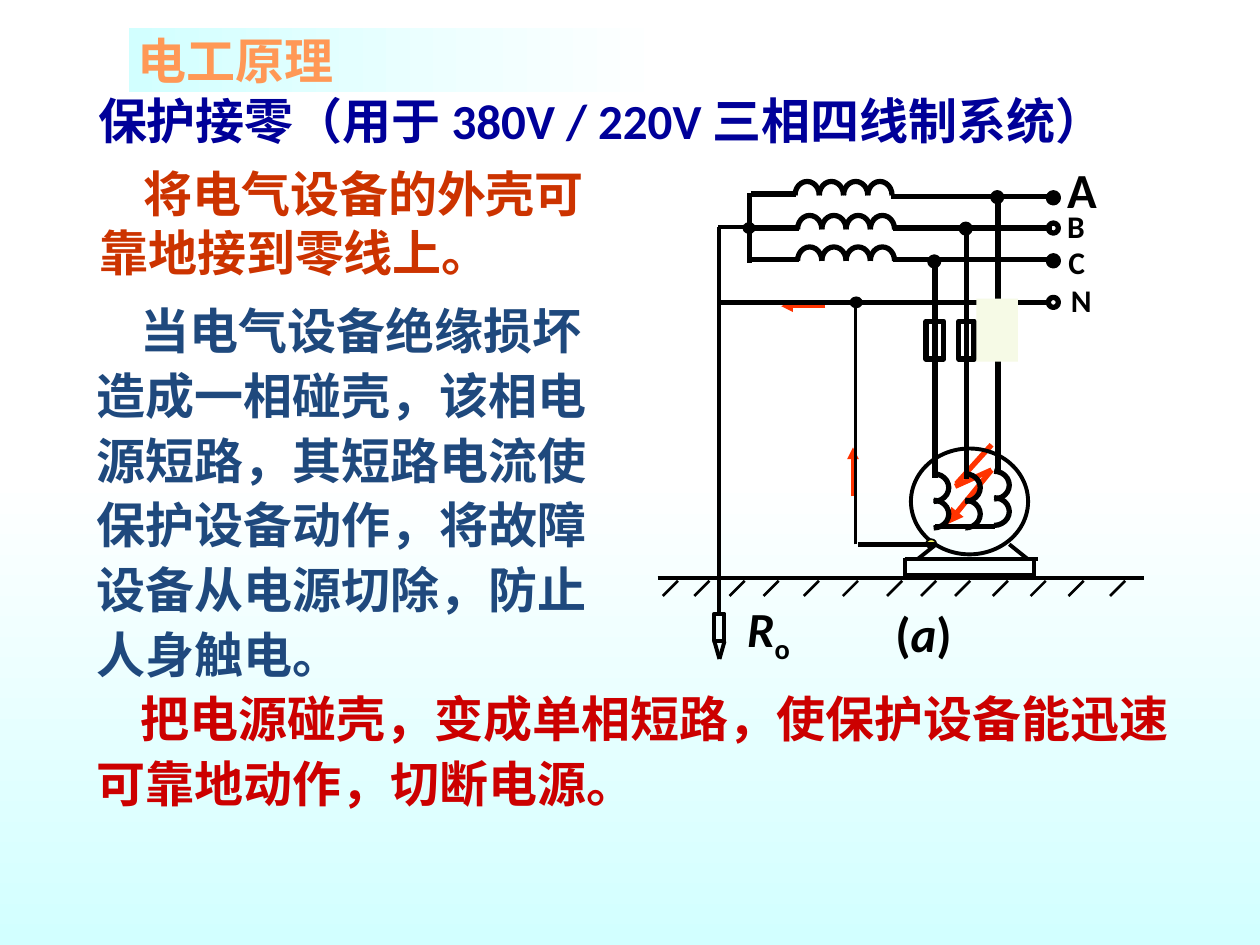
from math import cos, pi, sin
from lxml.etree import SubElement
from pptx import Presentation
from pptx.dml.color import RGBColor
from pptx.enum.shapes import MSO_CONNECTOR, MSO_SHAPE
from pptx.enum.text import MSO_ANCHOR, MSO_AUTO_SIZE, PP_ALIGN
from pptx.oxml.ns import qn
from pptx.util import Pt

PX = 9144
INK = "000000"


def px(*nums):
    """Turn px lengths into EMU."""
    return [round(n * PX) for n in nums]


def tint(color, code):
    """Set a colour format from a hex string."""
    color.rgb = RGBColor.from_string(code)


def blend(root, fill, angle, stops):
    """Give a fill a gradient with the stops listed."""
    fill.gradient()
    fill.gradient_angle = angle
    items = root.find(".//" + qn("a:gsLst"))
    for old in list(items):
        items.remove(old)
    for place, code in stops:
        stop = SubElement(items, qn("a:gs"), pos=str(place * 1000))
        SubElement(stop, qn("a:srgbClr"), val=code)


def style(shape, fill=None, width=0):
    """Set the fill and black outline of a shape."""
    shape.shadow.inherit = False
    if fill:
        shape.fill.solid()
        tint(shape.fill.fore_color, fill)
    else:
        shape.fill.background()
    if width:
        tint(shape.line.color, INK)
        shape.line.width = Pt(width)
    else:
        shape.line.fill.background()


def form(slide, kind, box, fill=None, width=0):
    """Add a preset shape."""
    shape = slide.shapes.add_shape(kind, *px(*box))
    style(shape, fill, width)
    return shape


def wire(slide, ends, width, code=INK, arrow=False):
    """Add a straight line, with an arrowhead on request."""
    line = slide.shapes.add_connector(MSO_CONNECTOR.STRAIGHT, *px(*ends))
    tint(line.line.color, code)
    line.line.width = Pt(width)
    if arrow:
        SubElement(line.line._get_or_add_ln(), qn("a:tailEnd"), type="triangle")
    SubElement(line._element.spPr, qn("a:effectLst"))


def loop(slide, x, y, w, h, up):
    """Add one turn of a coil, bulging up or to the right."""
    points = []
    for step in range(13):
        turn = pi * step / 12
        along, out = (1 - cos(turn)) / 2, sin(turn)
        spot = (x + w * along, y - h * out) if up else (x + w * out, y + h * along)
        points.append(px(*spot))
    path = slide.shapes.build_freeform(*points[0], scale=1)
    path.add_line_segments(points[1:], close=False)
    style(path.convert_to_shape(), width=3)


def write(slide, box, parts, size=28, code=INK, font="Calibri", wrap=True,
          align=PP_ALIGN.LEFT, indent=0, gap=1.0, anchor=MSO_ANCHOR.MIDDLE):
    """Add a bold paragraph made of the parts and return its runs."""
    frame = slide.shapes.add_textbox(*px(*box)).text_frame
    frame.word_wrap = wrap
    frame.auto_size = MSO_AUTO_SIZE.SHAPE_TO_FIT_TEXT
    frame.vertical_anchor = anchor
    para = frame.paragraphs[0]
    para.alignment = align
    para.line_spacing = gap
    if indent:
        para._p.get_or_add_pPr().set("indent", str(px(indent)[0]))
    for part in parts:
        run = para.add_run()
        run.text = part
        run.font.name, run.font.size, run.font.bold = font, Pt(size), True
        tint(run.font.color, code)
    return para.runs


def header(slide, x, y):
    """Draw the course band and the title."""
    band = form(slide, MSO_SHAPE.RECTANGLE, (x + 52, y + 3, 855, 51))
    blend(band._element, band.fill, 0,
          [(0, "D2FFFF"), (50, "FFFFFF"), (100, "FFFFFF")])
    run, = write(slide, (x + 48, y, 178, 57), ["电工原理"], font="Times New Roman",
                 wrap=False, align=PP_ALIGN.CENTER)
    blend(run._r, run.font.fill, 270,
          [(0, "9D4700"), (78, "FF9856"), (100, "FFF5F1")])
    write(slide, (x + 18, y + 39, 899, 75),
          ["保护接零（用于 380V / 220V 三相四线制系统）"], code="000099")


def notes(slide, x, y):
    """Write the two paragraphs on the left."""
    write(slide, (x + 2, y, 431, 103), ["将电气设备的外壳可靠地接到零线上。"],
          code="CC3300", indent=35)
    write(slide, (x, y + 104, 425, 318),
          ["当电气设备绝缘损坏造成一相碰壳，该相电源短路，其短路电流使保护设备动作，"
           "将故障设备从电源切除，防止人身触电。"],
          code="1F497D", indent=35, gap=1.1)


def faults(slide, x, y):
    """Draw the red fault path and current arrows."""
    for x1, y1, x2, y2, width, arrow in (
            (287, 253, 259, 284, 3, False), (258, 286, 287, 273, 3, False),
            (287, 273, 252, 316, 3, True), (177, 294, 177, 255, 2.25, True),
            (155, 143, 120, 143, 2.25, True)):
        wire(slide, (x + x1, y + y1, x + x2, y + y2), width, "FF3300", arrow)


def source(slide, x, y):
    """Draw the three supply coils, the neutral and the terminals."""
    for left, base in ((131, 55), (133, 82), (133, 107)):
        for turn in range(4):
            loop(slide, x + left + 19.25 * turn, y + base, 19.25, 11, True)
        wire(slide, (x + 96, y + base - 1, x + left + 1, y + base - 1), 3)
        right = base + 1 if base == 55 else base - 1
        wire(slide, (x + left + 76, y + right, x + 335, y + right), 3)
    wire(slide, (x + 95, y + 53, x + 95, y + 109), 3)
    wire(slide, (x + 70, y + 140, x + 333, y + 140), 3)
    for name, left, top, size, dot, fill in (
            ("A", 337, 25, 28, 53, INK), ("B", 337, 54, 18, 77, None),
            ("C", 338, 83, 18, 103, INK), ("N", 340, 113, 18, 136, None)):
        write(slide, (x + left, y + top, 35, 50), [name], size)
        form(slide, MSO_SHAPE.OVAL, (x + 332, y + dot, 8, 8), fill, 3)


def ground(slide, x, y):
    """Draw the earth line, its hatching and the earth rod."""
    wire(slide, (x + 22, y + 359, x + 408, y + 359), 2.25)
    for tick in (38, 63, 91, 118, 150, 181, 216, 243, 270, 300, 330, 360, 393):
        wire(slide, (x + tick, y + 361, x + tick - 12, y + 373), 1.5)
    wire(slide, (x + 71, y + 387, x + 71, y + 80), 2.25)
    wire(slide, (x + 95, y + 80, x + 70, y + 80), 2.25)
    form(slide, MSO_SHAPE.RECTANGLE, (x + 67, y + 387, 8, 22), width=2.25)
    for side in (67, 75):
        wire(slide, (x + side, y + 409, x + 71, y + 423), 2.25)


def motor(slide, x, y):
    """Draw the motor, its fused feeders and the link to neutral."""
    for left, top in ((241, 276), (266, 276), (289, 274)):
        for turn in range(2):
            loop(slide, x + left, y + top + 21 * turn, 12, 22, False)
    wire(slide, (x + 242, y + 318, x + 290, y + 318), 3)
    form(slide, MSO_SHAPE.OVAL, (x + 223, y + 256, 93, 84), width=2.25)
    for ends in ((243, 332, 228, 344), (301, 332, 316, 344),
                 (218, 344, 324, 344), (218, 343, 218, 357),
                 (321, 344, 321, 358), (218, 356, 322, 356),
                 (179, 332, 179, 141)):
        wire(slide, (x + ends[0], y + ends[1], x + ends[2], y + ends[3]), 2.25)
    form(slide, MSO_SHAPE.OVAL, (x + 235, y + 328, 8, 7), "FFFF66", 1)
    for left, top, end in ((292, 57, 276), (267, 82, 280), (242, 108, 279)):
        wire(slide, (x + left, y + top, x + left, y + end), 3)
        form(slide, MSO_SHAPE.OVAL, (x + left - 4, y + top - 4, 7, 7), INK, 3)
    for left, width in ((261, 12), (235, 14)):
        form(slide, MSO_SHAPE.RECTANGLE, (x + left, y + 155, width, 30), width=3)
    for left, top in ((90, 77), (175, 136)):
        form(slide, MSO_SHAPE.OVAL, (x + left, y + top, 9, 8), INK, 1)
    wire(slide, (x + 181, y + 332, x + 242, y + 332), 3)


def circuit(slide, x, y):
    """Assemble the wiring diagram with its captions."""
    for part in (faults, source, ground, motor):
        part(slide, x, y)
    main, sub = write(slide, (x + 72, y + 373, 76, 57), ["R", "o"],
                      align=PP_ALIGN.CENTER)
    main.font.italic = True
    sub.font._element.set("baseline", "-25000")
    runs = write(slide, (x + 200, y + 374, 66, 57), ["(", "a", ")"],
                 wrap=False, align=PP_ALIGN.CENTER)
    runs[1].font.italic = True
    form(slide, MSO_SHAPE.RECTANGLE, (x + 275, y + 137, 33, 50), "F6FAE6")


def main():
    """Build the slide and save it."""
    deck = Presentation()
    deck.slide_width, deck.slide_height = px(1000, 750)
    slide = deck.slides.add_slide(deck.slide_layouts[6])
    blend(slide._element, slide.background.fill, 270,
          [(0, "FFFFFF"), (50, "FFFFFF"), (100, "D2FFFF")])
    header(slide, 50, 19)
    notes(slide, 67, 125)
    circuit(slide, 500, 100)
    write(slide, (67, 537, 908, 113),
          ["把电源碰壳，变成单相短路，使保护设备能迅速可靠地动作，切断电源。"],
          code="CC0000", indent=35, gap=1.1, anchor=MSO_ANCHOR.TOP)
    deck.save("out.pptx")


if __name__ == "__main__":
    main()
